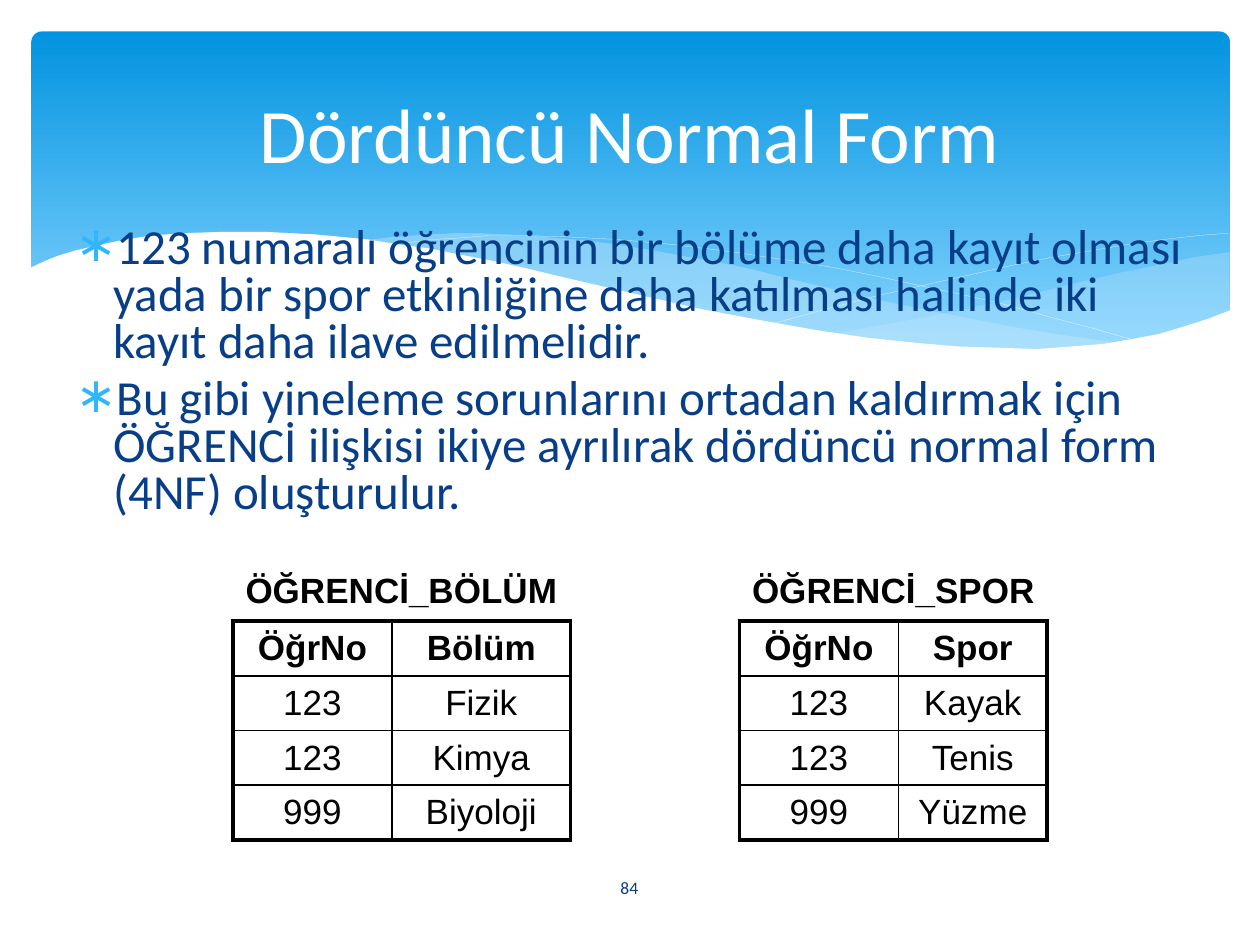
import lxml.etree
import pptx
import pptx.dml.color
import pptx.enum.shapes
import pptx.enum.text
import pptx.oxml.ns
import pptx.util

Inches = pptx.util.Inches
Pt = pptx.util.Pt
qn = pptx.oxml.ns.qn
ALIGN = pptx.enum.text.PP_ALIGN
MIDDLE = pptx.enum.text.MSO_ANCHOR.MIDDLE

COLORS = {
    "white": "FFFFFF",
    "black": "000000",
    "navy": "073E87",
    "bullet": "31B6FD",
    "sky_top": "0293E0",
    "sky_bottom": "83D3FE",
    "mist": "C6E7FC",
}

RIGHT_SWELL = [
    (9.76, 2), (9.48, 2.04), (9.21, 2.1), (8.91, 2.16), (8.61, 2.23), (8.32, 2.3),
    (8.05, 2.37), (7.53, 2.48), (7.06, 2.57), (6.61, 2.65), (6.91, 2.69), (7.19, 2.72),
    (7.45, 2.75), (7.69, 2.77), (8.03, 2.78), (8.35, 2.77), (8.63, 2.75), (8.89, 2.72),
    (9.13, 2.67), (9.35, 2.62), (9.49, 2.57), (9.63, 2.52), (9.76, 2.47),
]
LONG_SWELL = [
    (8.93, 2.73), (8.66, 2.69), (8.37, 2.65), (8.07, 2.6), (7.75, 2.54), (7.41, 2.47),
    (7.06, 2.4), (6.68, 2.31), (6.29, 2.22), (5.98, 2.14), (5.69, 2.08), (5.41, 2.03),
    (5.14, 1.98), (4.89, 1.94), (4.65, 1.91), (4.42, 1.89), (4.2, 1.87), (3.99, 1.86),
    (3.8, 1.85), (3.61, 1.85), (3.44, 1.86), (3.13, 1.88), (2.86, 1.91), (3.23, 1.96),
    (3.62, 2.03), (4.04, 2.11), (4.49, 2.22), (4.91, 2.32), (5.3, 2.4), (5.66, 2.48),
    (6.01, 2.55), (6.34, 2.61), (6.65, 2.66), (6.95, 2.7), (7.22, 2.74), (7.48, 2.76),
    (7.73, 2.77), (7.96, 2.78), (8.28, 2.78), (8.57, 2.77), (8.76, 2.75),
]
FALLING_CREST = [
    (3.09, 1.95), (3.28, 1.92), (3.44, 1.9), (3.63, 1.89), (3.87, 1.87), (4.16, 1.87),
    (4.5, 1.88), (4.89, 1.9), (5.33, 1.94), (5.82, 2), (6.08, 2.04), (6.36, 2.08),
    (6.65, 2.13), (6.95, 2.19), (7.27, 2.26), (7.6, 2.33), (7.95, 2.41), (8.31, 2.51),
    (8.69, 2.61), (9.07, 2.72),
]
RISING_CREST = [
    (6.13, 2.57), (6.53, 2.46), (6.95, 2.35), (7.48, 2.23), (8.06, 2.1), (8.36, 2.04),
    (8.66, 1.99), (8.95, 1.94), (9.24, 1.9), (9.51, 1.87), (9.75, 1.85),
]
FOREGROUND_WAVE = [
    (9.77, 2.46), (9.59, 2.53), (9.4, 2.59), (9.2, 2.65), (8.99, 2.69), (8.75, 2.73),
    (8.5, 2.75), (8.23, 2.77), (7.93, 2.76), (7.61, 2.75), (7.26, 2.72), (6.88, 2.68),
    (6.48, 2.62), (6.03, 2.54), (5.55, 2.45), (5.03, 2.33), (4.47, 2.2), (4.18, 2.13),
    (3.91, 2.07), (3.65, 2.02), (3.4, 1.97), (3.16, 1.94), (2.92, 1.9), (2.71, 1.88),
    (2.5, 1.86), (2.3, 1.85), (2.11, 1.84), (1.77, 1.84), (1.46, 1.85), (1.19, 1.87),
    (0.95, 1.91), (0.76, 1.95), (0.59, 1.99), (0.46, 2.03), (0.36, 2.07), (0.23, 2.13),
    (0.23, 3.29), (9.77, 3.29),
]

POINTS = [
    "123 numaralı öğrencinin bir bölüme daha kayıt olması yada bir spor etkinliğine "
    "daha katılması halinde iki kayıt daha ilave edilmelidir.",
    "Bu gibi yineleme sorunlarını ortadan kaldırmak için ÖĞRENCİ ilişkisi ikiye "
    "ayrılırak dördüncü normal form (4NF) oluşturulur.",
]
RELATIONS = [
    ("ÖĞRENCİ_BÖLÜM", ALIGN.LEFT, 1.85, [1.26, 1.42],
     [("ÖğrNo", "Bölüm"), ("123", "Fizik"), ("123", "Kimya"), ("999", "Biyoloji")]),
    ("ÖĞRENCİ_SPOR", ALIGN.CENTER, 5.87, [1.26, 1.18],
     [("ÖğrNo", "Spor"), ("123", "Kayak"), ("123", "Tenis"), ("999", "Yüzme")]),
]


def rgb(name):
    return pptx.dml.color.RGBColor.from_string(COLORS[name])


def add_color(parent, tag, name):
    holder = lxml.etree.SubElement(parent, qn(tag))
    lxml.etree.SubElement(holder, qn("a:srgbClr"), val=COLORS[name])


class WaveSlide:
    def __init__(self, slide):
        self.slide = slide
        self.shapes = slide.shapes

    def style(self, paragraph, size, color, face="Calibri", bold=False, align=ALIGN.LEFT):
        paragraph.alignment = align
        font = paragraph.font
        font.name, font.size, font.bold = face, Pt(size), bold
        font.color.rgb = rgb(color)

    def sky(self, left, top, width, height):
        sky = self.shapes.add_shape(
            pptx.enum.shapes.MSO_SHAPE.ROUNDED_RECTANGLE,
            Inches(left), Inches(top), Inches(width), Inches(height))
        sky.adjustments[0] = 0.03
        sky.shadow.inherit = False
        sky.line.fill.background()
        sky.fill.gradient()
        sky.fill.gradient_angle = 270
        shades = [(0, "sky_top"), (0.9, "sky_bottom")]
        for stop, (position, color) in zip(sky.fill.gradient_stops, shades):
            stop.position = position
            stop.color.rgb = rgb(color)

    def outline(self, points, closed):
        corners = [(Inches(x), Inches(y)) for x, y in points]
        builder = self.shapes.build_freeform(*corners[0], scale=1.0)
        builder.add_line_segments(corners[1:], close=closed)
        outline = builder.convert_to_shape()
        outline.shadow.inherit = False
        return outline

    def wave(self, points, color, opacity=100):
        wave = self.outline(points, True)
        wave.line.fill.background()
        wave.fill.solid()
        wave.fill.fore_color.rgb = rgb(color)
        if opacity < 100:
            tint = wave._element.spPr.find(".//" + qn("a:srgbClr"))
            lxml.etree.SubElement(tint, qn("a:alpha"), val=str(opacity * 1000))

    def crest(self, points):
        crest = self.outline(points, False)
        crest.fill.background()
        crest.line.color.rgb = rgb("white")
        crest.line.width = Pt(0.1)

    def placeholder(self, holder, left, top, width, height):
        holder.left, holder.top = Inches(left), Inches(top)
        holder.width, holder.height = Inches(width), Inches(height)
        holder.text_frame.auto_size = pptx.enum.text.MSO_AUTO_SIZE.NONE
        self.shapes._spTree.append(holder._element)
        return holder.text_frame

    def title(self, text, *box):
        frame = self.placeholder(self.shapes.title, *box)
        frame.text = text
        frame.vertical_anchor = MIDDLE
        self.style(frame.paragraphs[0], 44, "white", align=ALIGN.CENTER)

    def bullets(self, points, *box):
        frame = self.placeholder(self.slide.placeholders[1], *box)
        frame.text = "\n".join(points)
        for index, paragraph in enumerate(frame.paragraphs):
            paragraph.line_spacing = 0.8
            paragraph.space_before = Pt(5.6 if index else 0)
            props = paragraph._p.get_or_add_pPr()
            props.set("marL", str(Inches(0.3)))
            props.set("indent", str(Inches(-0.3)))
            add_color(props, "a:buClr", "bullet")
            lxml.etree.SubElement(props, qn("a:buFont"), typeface="Calibri")
            lxml.etree.SubElement(props, qn("a:buChar"), char="∗")
            self.style(paragraph, 28, "navy")

    def label(self, text, left, top, width, height, *style, **options):
        frame = self.shapes.add_textbox(
            Inches(left), Inches(top), Inches(width), Inches(height)).text_frame
        frame.word_wrap = True
        frame.vertical_anchor = MIDDLE
        frame.text = text
        self.style(frame.paragraphs[0], *style, **options)

    def borders(self, cell, heavy_sides):
        props = cell._tc.get_or_add_tcPr()
        for index, side in enumerate("LRTB"):
            width = Pt(2.25 if side in heavy_sides else 1)
            line = lxml.etree.Element(qn("a:ln" + side), w=str(width))
            add_color(line, "a:solidFill", "black")
            props.insert(index, line)

    def relation(self, rows, left, top, widths, row_height):
        table = self.shapes.add_table(
            len(rows), len(widths), Inches(left), Inches(top),
            Inches(sum(widths)), Inches(row_height * len(rows))).table
        table.first_row = table.horz_banding = False
        for column, width in zip(table.columns, widths):
            column.width = Inches(width)
        for r, row in enumerate(rows):
            table.rows[r].height = Inches(row_height)
            for c, value in enumerate(row):
                cell = table.cell(r, c)
                cell.text = value
                cell.vertical_anchor = MIDDLE
                cell.fill.background()
                self.style(cell.text_frame.paragraphs[0], 20, "black", "Arial",
                           bold=r == 0, align=ALIGN.CENTER)
                edges = {"L": c == 0, "R": c == len(row) - 1,
                         "T": r == 0, "B": r == len(rows) - 1}
                self.borders(cell, [side for side, heavy in edges.items() if heavy])


def main():
    deck = pptx.Presentation()
    deck.slide_width, deck.slide_height = Inches(10), Inches(7.5)
    page = WaveSlide(deck.slides.add_slide(deck.slide_layouts[1]))
    page.sky(0.25, 0.25, 9.51, 2.7)
    page.wave(RIGHT_SWELL, "mist", 29)
    page.wave(LONG_SWELL, "mist", 40)
    page.crest(FALLING_CREST)
    page.crest(RISING_CREST)
    page.wave(FOREGROUND_WAVE, "white")
    page.label("84", 4.36, 6.84, 1.27, 0.4, 10, "navy", align=ALIGN.CENTER)
    page.bullets(POINTS, 0.5, 1.75, 9, 2.55)
    page.title("Dördüncü Normal Form", 0.5, 0.37, 9, 1.37)
    for name, align, left, widths, rows in RELATIONS:
        page.label(name, left, 4.46, sum(widths), 0.43, 20, "black", "Arial",
                   bold=True, align=align)
        page.relation(rows, left, 4.93, widths, 0.43)
    deck.save("out.pptx")


if __name__ == "__main__":
    main()
